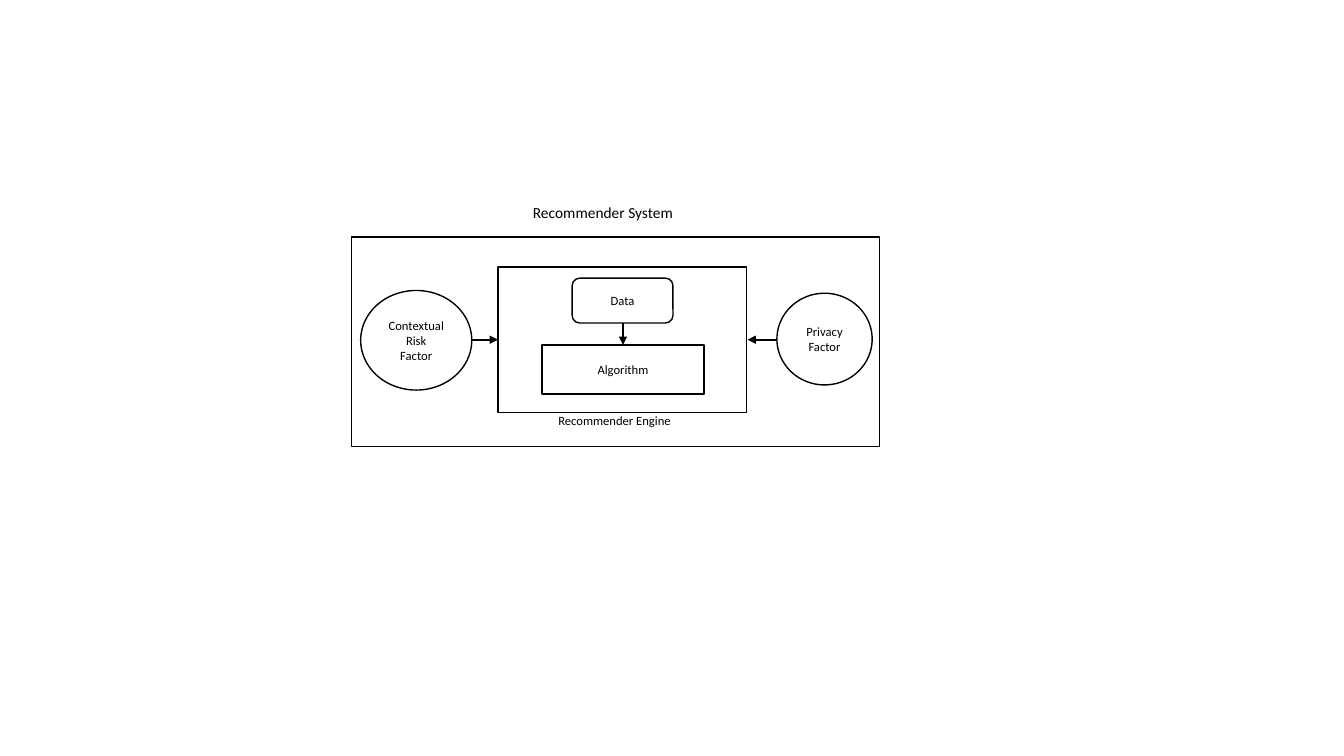
from lxml import etree
from pptx import Presentation
from pptx import util as u
from pptx.dml.color import RGBColor
from pptx.enum import shapes, text
from pptx.oxml.ns import qn

COLORS = {"ink": "000000", "paper": "FFFFFF"}
KINDS = shapes.MSO_SHAPE


class Diagram:
    """Draws black-on-white diagram elements on one slide."""

    def __init__(self, page, font="Calibri"):
        self.page = page
        self.font = font
        self.ink = RGBColor.from_string(COLORS["ink"])
        self.paper = RGBColor.from_string(COLORS["paper"])

    def add_lines(self, frame, lines, size, align):
        frame.word_wrap = True
        for index, line in enumerate(lines):
            para = frame.paragraphs[0] if index == 0 else frame.add_paragraph()
            para.alignment = align
            span = para.add_run()
            span.text = line
            span.font.name = self.font
            span.font.size = u.Pt(size)
            span.font.color.rgb = self.ink

    def node(self, kind, place, lines=()):
        box = self.page.shapes.add_shape(kind, *map(u.Cm, place))
        box.shadow.inherit = False
        box.fill.solid()
        box.fill.fore_color.rgb = self.paper
        box.line.color.rgb = self.ink
        box.line.width = u.Pt(1)
        frame = box.text_frame
        frame.vertical_anchor = text.MSO_ANCHOR.MIDDLE
        frame.margin_left = frame.margin_right = 0
        self.add_lines(frame, lines, 9, text.PP_ALIGN.CENTER)

    def label(self, place, line, size):
        box = self.page.shapes.add_textbox(*map(u.Cm, place))
        box.text_frame.auto_size = text.MSO_AUTO_SIZE.SHAPE_TO_FIT_TEXT
        self.add_lines(box.text_frame, [line], size, text.PP_ALIGN.LEFT)

    def arrow(self, start, end):
        link = self.page.shapes.add_connector(
            shapes.MSO_CONNECTOR.STRAIGHT, *map(u.Cm, start + end))
        link.line.color.rgb = self.ink
        link.line.width = u.Pt(1.5)
        properties = link._element.spPr
        etree.SubElement(properties.find(qn("a:ln")), qn("a:tailEnd"), type="triangle")
        etree.SubElement(properties, qn("a:effectLst"))


deck = Presentation()
deck.slide_width, deck.slide_height = u.Cm(33.87), u.Cm(19.05)
diagram = Diagram(deck.slides.add_slide(deck.slide_layouts[6]))

nodes = [
    (KINDS.RECTANGLE, (8.86, 5.97, 13.31, 5.28), []),
    (KINDS.RECTANGLE, (12.55, 6.73, 6.27, 3.66), []),
    (KINDS.OVAL, (9.09, 7.32, 2.8, 2.51), ["Contextual", "Risk", "Factor"]),
    (KINDS.OVAL, (19.58, 7.39, 2.4, 2.31), ["Privacy", "Factor"]),
    (KINDS.ROUNDED_RECTANGLE, (14.42, 7.01, 2.54, 1.13), ["Data"]),
    (KINDS.RECTANGLE, (13.66, 8.69, 4.08, 1.24), ["Algorithm"]),
]
for kind, place, lines in nodes:
    diagram.node(kind, place, lines)

middle, center = 8.56, 15.7
diagram.arrow((11.9, middle), (12.55, middle))
diagram.arrow((19.58, middle), (18.84, middle))
diagram.label((13.82, 10.29, 5.03, 0.64), "Recommender Engine", 9)
diagram.label((13.18, 5, 5.03, 0.74), "Recommender System", 11)
diagram.arrow((center, 8.14), (center, 8.69))

deck.save("out.pptx")
